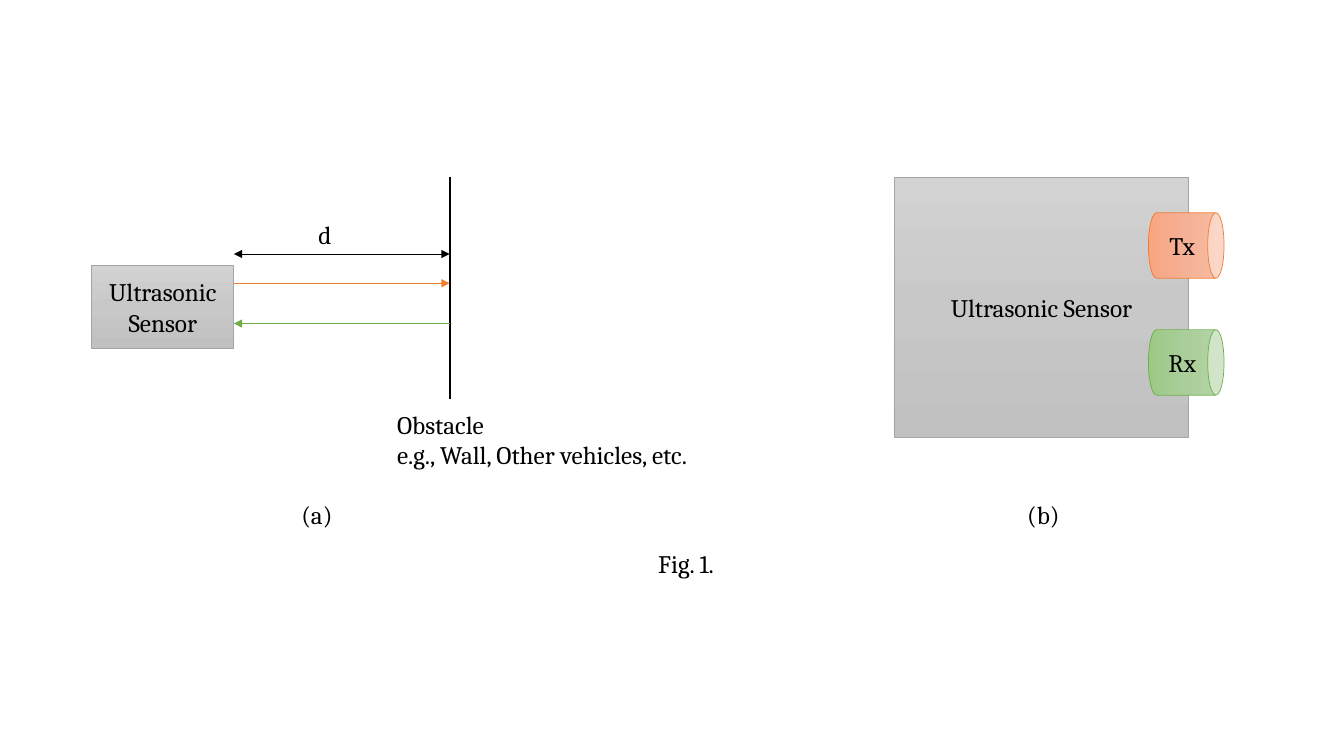
from copy import deepcopy

from lxml.etree import SubElement
from pptx import Presentation
from pptx.dml.color import RGBColor
from pptx.enum.shapes import MSO_CONNECTOR, MSO_SHAPE
from pptx.enum.text import MSO_ANCHOR, MSO_AUTO_SIZE, PP_ALIGN
from pptx.oxml.ns import qn
from pptx.util import Inches, Pt

BLACK, GRAY, ORANGE, GREEN = "000000", "A5A5A5", "ED7D31", "70AD47"
GRAY_FADE = ("D2D2D2", "C8C8C8", "C0C0C0")
ORANGE_FADE = ("F7BDA5", "F5B196", "F8A582")
GREEN_FADE = ("B5D5A7", "AACE9A", "9CC987")


def color(value):
    return RGBColor.from_string(value)


def grid(*cells):
    return [Inches(cell / 10) for cell in cells]


class Diagram:
    font = "Cambria"
    size = Pt(18)

    def __init__(self, deck):
        self.slide = deck.slides.add_slide(deck.slide_layouts[6])

    def set_text(self, shape, text, align):
        frame = shape.text_frame
        frame.text = text
        for para in frame.paragraphs:
            para.alignment = align
            for span in para.runs:
                span.font.name = self.font
                span.font.size = self.size
                span.font.color.rgb = color(BLACK)

    def label(self, text, left, top, width, height=4):
        box = self.slide.shapes.add_textbox(*grid(left, top, width, height))
        self.set_text(box, text, PP_ALIGN.LEFT)
        box.text_frame.word_wrap = False
        box.text_frame.auto_size = MSO_AUTO_SIZE.SHAPE_TO_FIT_TEXT

    def block(self, text, left, top, width, height,
              kind=MSO_SHAPE.RECTANGLE, fade=GRAY_FADE, outline=GRAY):
        shape = self.slide.shapes.add_shape(kind, *grid(left, top, width, height))
        shape.shadow.inherit = False
        shape.line.color.rgb = color(outline)
        shape.line.width = Pt(0.5)
        shape.fill.gradient()
        shape.fill.gradient_angle = 270
        stops = shape.element.spPr.find(qn("a:gradFill")).find(qn("a:gsLst"))
        stops.insert(1, deepcopy(stops[0]))
        for index, stop in enumerate(shape.fill.gradient_stops):
            stop.position = index / 2
            stop.color.rgb = color(fade[index])
        self.set_text(shape, text, PP_ALIGN.CENTER)
        shape.text_frame.word_wrap = True
        shape.text_frame.vertical_anchor = MSO_ANCHOR.MIDDLE
        return shape

    def transducer(self, text, top, fade, outline):
        can = self.block(text, 114.4, top, 6.5, 7.5, MSO_SHAPE.CAN, fade, outline)
        can.rotation = 90
        can.element.txBody.find(qn("a:bodyPr")).set("vert", "vert270")

    def line(self, start, end, stroke, width, heads=()):
        line = self.slide.shapes.add_connector(
            MSO_CONNECTOR.STRAIGHT, *grid(*start, *end))
        line.line.color.rgb = color(stroke)
        line.line.width = Pt(width)
        properties = line.element.spPr
        outline = properties.find(qn("a:ln"))
        for head in heads:
            SubElement(outline, qn(f"a:{head}"), type="triangle")
        SubElement(properties, qn("a:effectLst"))


def main():
    deck = Presentation()
    deck.slide_width, deck.slide_height = Inches(13.33), Inches(7.5)
    diagram = Diagram(deck)
    sensor_edge, obstacle = 23.2, 44.6

    diagram.block("Ultrasonic Sensor", 9.1, 26.3, 14.1, 8.3)
    diagram.line((obstacle, 17.6), (obstacle, 39.6), BLACK, 1.5)
    diagram.line((sensor_edge, 28.1), (obstacle, 28.1), ORANGE, 1, ["tailEnd"])
    diagram.line((obstacle, 32.1), (sensor_edge, 32.1), GREEN, 1, ["tailEnd"])
    diagram.label("d", 30.6, 21.3, 3.4)
    diagram.line((sensor_edge, 25.2), (obstacle, 25.2), BLACK, 0.5,
                 ["headEnd", "tailEnd"])
    diagram.label("Obstacle\ne.g., Wall, Other vehicles, etc.", 38.4, 40.1, 35.1, 7.1)

    diagram.block("Ultrasonic Sensor", 88.7, 17.6, 29.2, 25.8)
    diagram.transducer("Tx", 20.6, ORANGE_FADE, ORANGE)
    diagram.transducer("Rx", 32.2, GREEN_FADE, GREEN)

    diagram.label("(a)", 28.9, 49, 5.2)
    diagram.label("(b)", 100.9, 49, 5.4)
    diagram.label("Fig. 1.", 64.3, 53.9, 9.1)
    deck.save("out.pptx")


if __name__ == "__main__":
    main()
